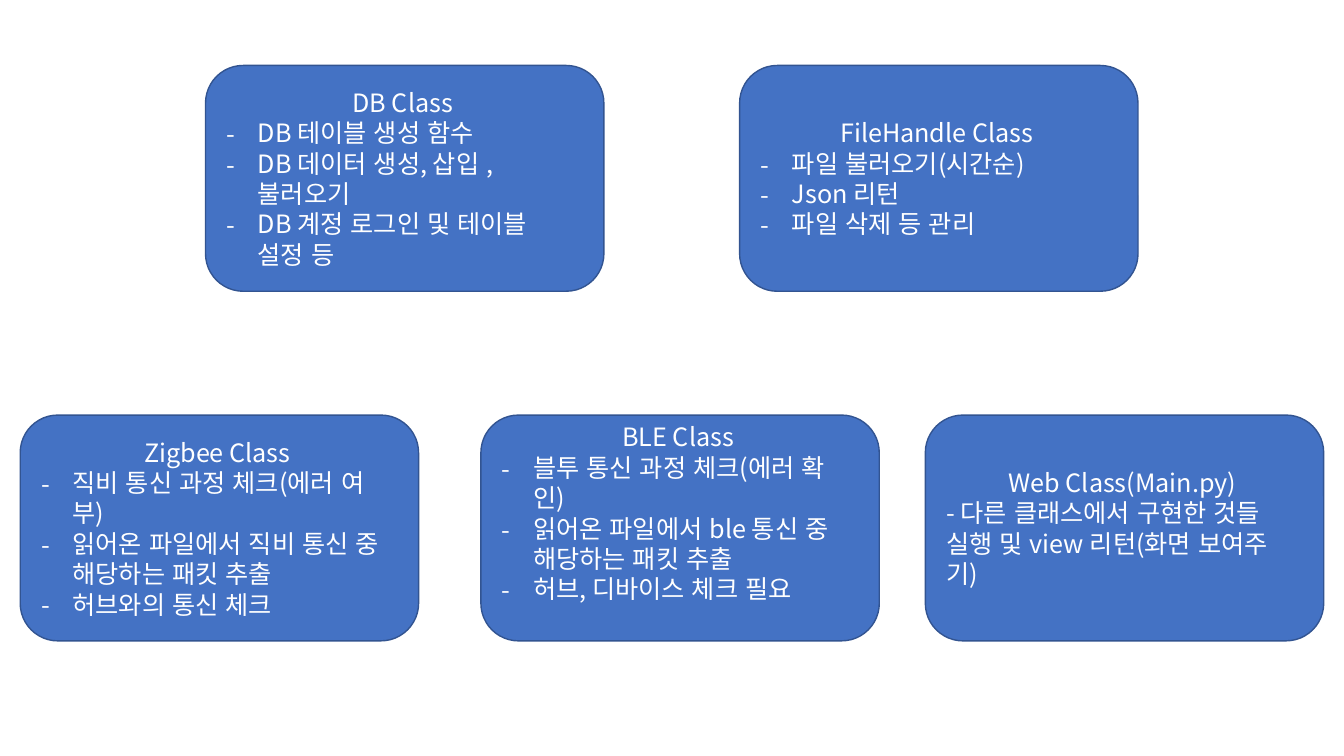
from pptx import Presentation
from pptx.dml.color import RGBColor
from pptx.enum.lang import MSO_LANGUAGE_ID
from pptx.enum.shapes import MSO_SHAPE
from pptx.enum.text import MSO_ANCHOR, PP_ALIGN
from pptx.util import Cm, Pt
from lxml import etree

ROUNDED = MSO_SHAPE.ROUNDED_RECTANGLE
MIDDLE = MSO_ANCHOR.MIDDLE
LEFT, CENTER = PP_ALIGN.LEFT, PP_ALIGN.CENTER
KOREAN = MSO_LANGUAGE_ID.KOREAN
FONT = "Noto Sans CJK KR"
NS = "{http://schemas.openxmlformats.org/drawingml/2006/main}"
COLORS = {"fill": "4472C4", "line": "325491", "text": "FFFFFF"}


def add_text(p, text, align=LEFT, bullet=None, size=18, spacing=21.7):
    p.alignment = align
    p.line_spacing = Pt(spacing)
    if bullet:
        pPr = p._p.get_or_add_pPr()
        pPr.set("marL", str(Cm(0.79)))
        pPr.set("indent", str(-Cm(0.79)))
        etree.SubElement(pPr, NS + "buFont", typeface=FONT)
        etree.SubElement(pPr, NS + "buChar", char=bullet)
    r = p.add_run()
    r.text = text
    r.font.size = Pt(size)
    r.font.name = FONT
    r.font.language_id = KOREAN
    r.font.color.rgb = RGBColor.from_string(COLORS["text"])
    etree.SubElement(r._r.get_or_add_rPr(), NS + "ea", typeface=FONT)


prs = Presentation()
prs.slide_width, prs.slide_height = Cm(33.87), Cm(19.05)
s = prs.slides.add_slide(prs.slide_layouts[6])

TOP_ROW, BOTTOM_ROW = 1.65, 10.46
BOX_W, BOX_H = 10.04, 5.69
INSET, BLANK_LINE = 0.13, 0.76

classes = [
    (5.18, TOP_ROW, "DB Class", "-", 0,
     ["DB 테이블 생성 함수", "DB 데이터 생성, 삽입 , 불러오기",
      "DB 계정 로그인 및 테이블 설정 등"]),
    (18.64, TOP_ROW, "FileHandle Class", "-", 0,
     ["파일 불러오기(시간순)", "Json 리턴", "파일 삭제 등 관리"]),
    (0.51, BOTTOM_ROW, "Zigbee Class", "-", 0,
     ["직비 통신 과정 체크(에러 여부)",
      "읽어온 파일에서 직비 통신 중 해당하는 패킷 추출",
      "허브와의 통신 체크"]),
    (12.12, BOTTOM_ROW, "BLE Class", "-", BLANK_LINE,
     ["블투 통신 과정 체크(에러 확인)",
      "읽어온 파일에서 ble 통신 중 해당하는 패킷 추출",
      "허브, 디바이스 체크 필요"]),
    (23.32, BOTTOM_ROW, "Web Class(Main.py)", None, 0,
     ["- 다른 클래스에서 구현한 것들 실행 및 view 리턴(화면 보여주기)"]),
]

for left, top, title, bullet, space_below, duties in classes:
    sp = s.shapes.add_shape(ROUNDED, Cm(left), Cm(top), Cm(BOX_W), Cm(BOX_H))
    sp.shadow.inherit = False
    sp.fill.solid()
    sp.fill.fore_color.rgb = RGBColor.from_string(COLORS["fill"])
    sp.line.color.rgb = RGBColor.from_string(COLORS["line"])
    sp.line.width = Pt(1)
    tf = sp.text_frame
    tf.word_wrap = True
    tf.vertical_anchor = MIDDLE
    tf.margin_right = Cm(0.35)
    tf.margin_bottom = Cm(INSET + space_below)
    add_text(tf.paragraphs[0], title, align=CENTER)
    for duty in duties:
        add_text(tf.add_paragraph(), duty, bullet=bullet)

prs.save("out.pptx")
